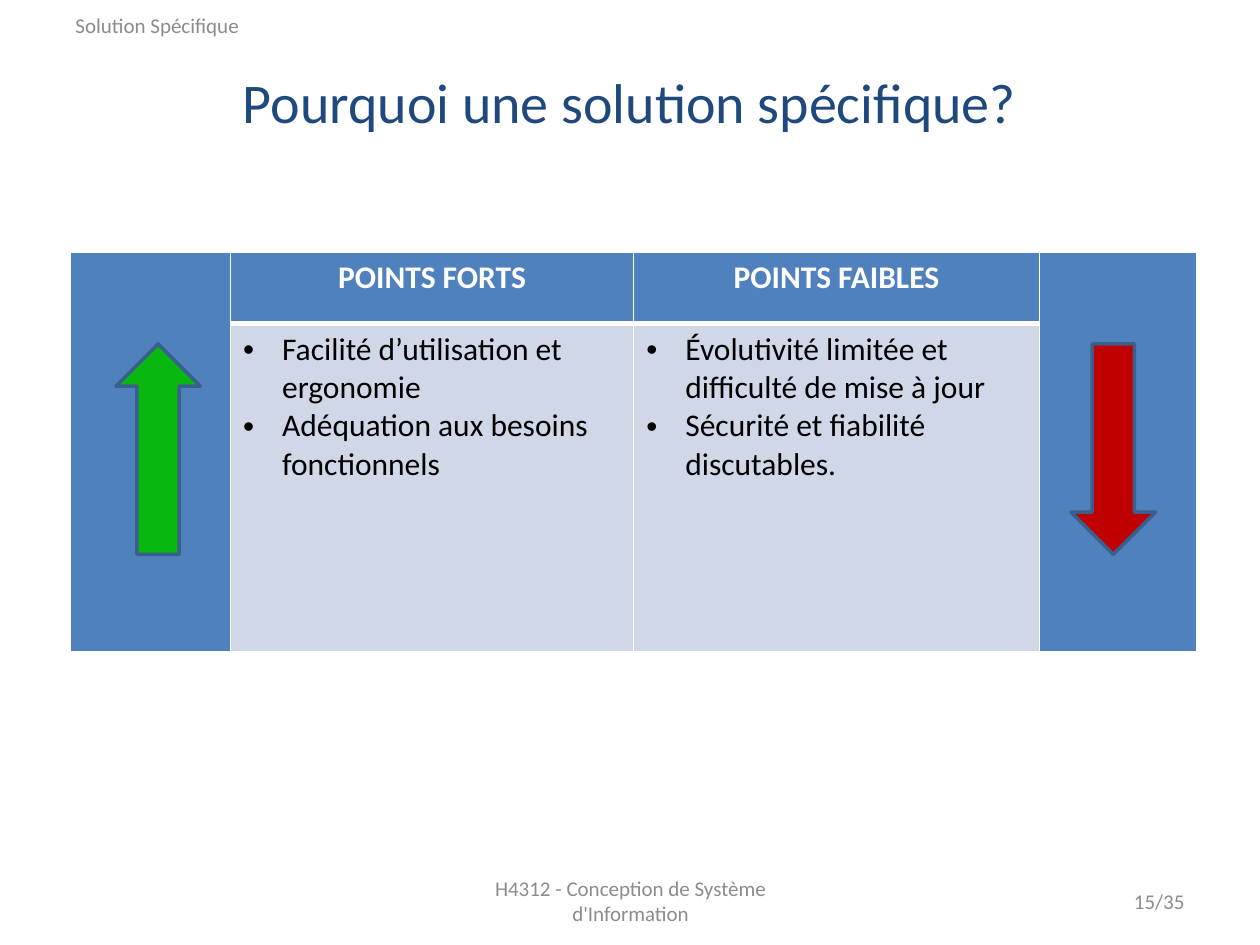
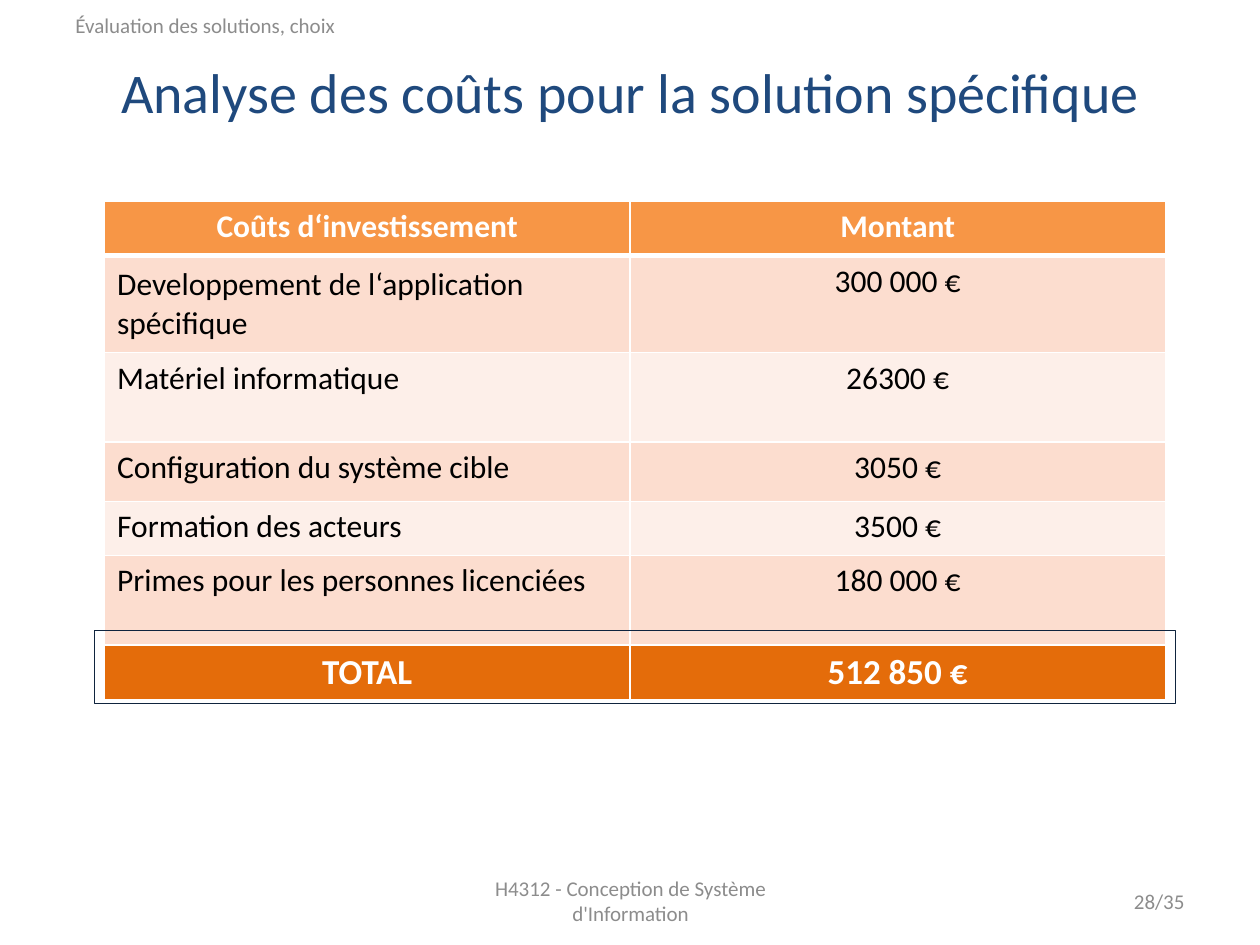
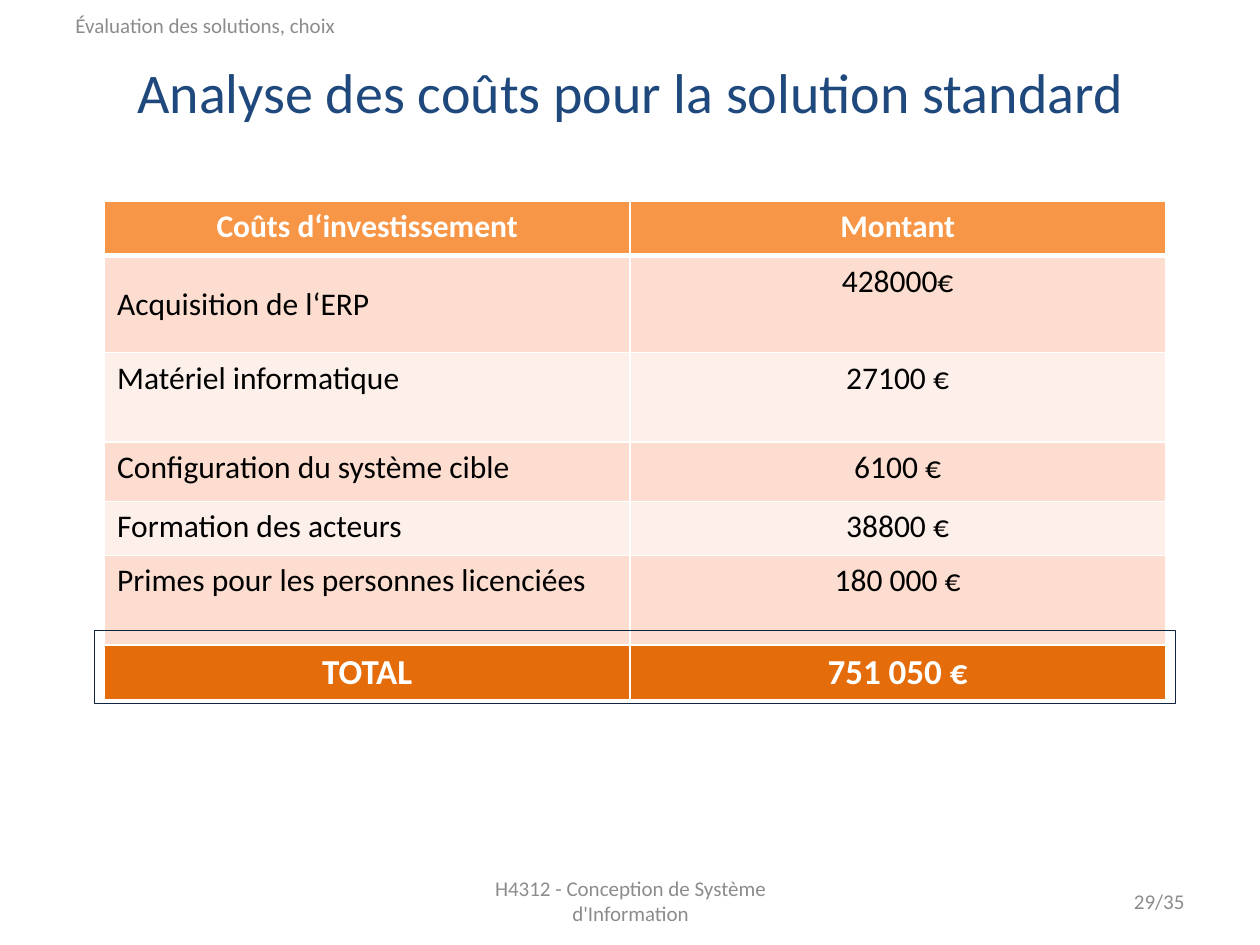
from dataclasses import dataclass

from lxml.etree import SubElement
from pptx import Presentation
from pptx.dml.color import RGBColor
from pptx.enum.shapes import MSO_SHAPE as Shape
from pptx.enum.text import MSO_ANCHOR as Anchor, PP_ALIGN as Align
from pptx.oxml.ns import qn
from pptx.util import Inches, Pt


@dataclass(frozen=True)
class Theme:
    font: str = "Calibri"
    title_size: int = 32
    total_size: int = 20
    body_size: int = 18
    small_size: int = 12
    title: str = "1F497D"
    muted: str = "8C8C8C"
    white: str = "FFFFFF"
    black: str = "000000"
    blue: str = "4F81BD"
    pale_blue: str = "D0D8E8"
    orange: str = "F79646"
    dark_orange: str = "E46C0A"
    bands: tuple = ("FCDDCF", "FDEFE9")
    green: str = "08B810"
    red: str = "C00000"
    arrow_line: str = "3A5F8C"
    frame_line: str = "0F243E"


FOOTER = "H4312 - Conception de Système d'Information"
SLIDE_TOTAL = 35
STRENGTHS = ["Facilité d’utilisation et ergonomie",
             "Adéquation aux besoins fonctionnels"]
WEAKNESSES = ["Évolutivité limitée et difficulté de mise à jour",
              "Sécurité et fiabilité discutables."]
COST_ITEMS = ["Matériel informatique", "Configuration du système cible",
              "Formation des acteurs", "Primes pour les personnes licenciées"]
COST_ROW_HEIGHTS = [0.43, 0.77, 0.71, 0.47, 0.43, 0.71, 0.43]


def rgb(color):
    return RGBColor.from_string(color)


class Deck:
    """Holds the presentation, its theme and the slide being built."""

    def __init__(self, theme):
        self.theme = theme
        self.presentation = Presentation()
        self.presentation.slide_width = Inches(10)
        self.presentation.slide_height = Inches(7.5)
        self.slide = None

    def new_slide(self, section, number):
        layout = self.presentation.slide_layouts[6]
        self.slide = self.presentation.slides.add_slide(layout)
        self.small_text(section, 0.5, 0, 3.75, Align.LEFT)
        self.small_text(FOOTER, 3.42, 6.95, 3.17, Align.CENTER)
        self.small_text(f"{number}/{SLIDE_TOTAL}", 7.17, 6.95, 2.33, Align.RIGHT)

    def style(self, paragraph, size, color, align=Align.LEFT, bold=False):
        paragraph.alignment = align
        font = paragraph.font
        font.name = self.theme.font
        font.size = Pt(size)
        font.bold = bold
        font.color.rgb = rgb(color)

    def text(self, text, box, size, color, align):
        frame = self.slide.shapes.add_textbox(*map(Inches, box)).text_frame
        frame.word_wrap = True
        frame.vertical_anchor = Anchor.MIDDLE
        frame.text = text
        self.style(frame.paragraphs[0], size, color, align)
        return frame

    def small_text(self, text, left, top, width, align):
        self.text(text, (left, top, width, 0.4),
                  self.theme.small_size, self.theme.muted, align)

    def title(self, text, left, width, height):
        frame = self.text(text, (left, 0.37, width, height),
                          self.theme.title_size, self.theme.title, Align.CENTER)
        frame.margin_left = frame.margin_right = frame.margin_bottom = 0
        frame.margin_top = Inches(0.04)
        frame.paragraphs[0].line_spacing = 0.93

    def shape(self, kind, box, line, line_width, fill=None, rotation=0):
        shape = self.slide.shapes.add_shape(kind, *map(Inches, box))
        shape.shadow.inherit = False
        shape.rotation = rotation
        shape.line.color.rgb = rgb(line)
        shape.line.width = Pt(line_width)
        if fill:
            shape.fill.solid()
            shape.fill.fore_color.rgb = rgb(fill)
        else:
            shape.fill.background()

    def table(self, left, top, widths, heights):
        table = self.slide.shapes.add_table(
            len(heights), len(widths), Inches(left), Inches(top),
            Inches(sum(widths)), Inches(sum(heights))).table
        table.horz_banding = False
        for column, width in zip(table.columns, widths):
            column.width = Inches(width)
        for row, height in zip(table.rows, heights):
            row.height = Inches(height)
        return table

    def cell(self, cell, fill, lines=(), color=None, size=None, align=Align.LEFT,
             bold=False, bullets=False, bottom=1):
        self.borders(cell, bottom)
        cell.fill.solid()
        cell.fill.fore_color.rgb = rgb(fill)
        cell.text = "\n".join(lines)
        for paragraph in cell.text_frame.paragraphs:
            if bullets:
                self.bullet(paragraph)
            self.style(paragraph, size or self.theme.body_size,
                       color or self.theme.black, align, bold)

    def header_cell(self, cell, fill, text):
        self.cell(cell, fill, [text], self.theme.white, align=Align.CENTER,
                  bold=True, bottom=3)

    def borders(self, cell, bottom):
        properties = cell._tc.get_or_add_tcPr()
        for side, width in (("L", 1), ("R", 1), ("T", 1), ("B", bottom)):
            line = SubElement(properties, qn(f"a:ln{side}"), w=str(Pt(width)))
            fill = SubElement(line, qn("a:solidFill"))
            SubElement(fill, qn("a:srgbClr"), val=self.theme.white)

    def bullet(self, paragraph):
        properties = paragraph._p.get_or_add_pPr()
        indent = Inches(0.31)
        properties.set("marL", str(indent))
        properties.set("indent", str(-indent))
        SubElement(properties, qn("a:buFont"), typeface="Arial")
        SubElement(properties, qn("a:buChar"), char="•")


def add_strengths_slide(deck):
    theme = deck.theme
    deck.new_slide("Solution Spécifique", 15)
    deck.title("Pourquoi une solution spécifique?", 0.73, 8.54, 0.88)
    table = deck.table(0.56, 2, [1.27, 3.2, 3.22, 1.25], [0.57, 2.6])
    for column in (0, 3):
        for row in (0, 1):
            deck.cell(table.cell(row, column), theme.blue)
        table.cell(0, column).merge(table.cell(1, column))
    columns = [("POINTS FORTS", STRENGTHS), ("POINTS FAIBLES", WEAKNESSES)]
    for column, (heading, points) in enumerate(columns, start=1):
        deck.header_cell(table.cell(0, column), theme.blue, heading)
        deck.cell(table.cell(1, column), theme.pale_blue, points, bullets=True)
    for left, fill, rotation in ((0.92, theme.green, 0), (8.5, theme.red, 180)):
        deck.shape(Shape.UP_ARROW, (left, 2.73, 0.67, 1.67),
                   theme.arrow_line, 2, fill, rotation)


def add_cost_slide(deck, number, solution, first_item, amounts, total):
    theme = deck.theme
    deck.new_slide("Évaluation des solutions, choix", number)
    deck.title(f"Analyse des coûts pour la solution {solution}", 0.38, 9.25, 0.72)
    table = deck.table(0.83, 1.6, [4.17, 4.25], COST_ROW_HEIGHTS)
    for column, heading in enumerate(["Coûts d‘investissement", "Montant"]):
        deck.header_cell(table.cell(0, column), theme.orange, heading)
    items = [first_item, *COST_ITEMS]
    for row, (item, amount) in enumerate(zip(items, amounts), start=1):
        band = theme.bands[(row - 1) % 2]
        deck.cell(table.cell(row, 0), band, [item])
        deck.cell(table.cell(row, 1), band, [amount], align=Align.CENTER)
    table.cell(1, 0).vertical_anchor = Anchor.MIDDLE
    for column, text in enumerate(["TOTAL", total]):
        deck.cell(table.cell(len(items) + 1, column), theme.dark_orange, [text],
                  theme.white, theme.total_size, Align.CENTER, bold=True)
    deck.shape(Shape.RECTANGLE, (0.75, 5, 8.58, 0.58), theme.frame_line, 0.5)


def main():
    deck = Deck(Theme())
    add_strengths_slide(deck)
    add_cost_slide(deck, 28, "spécifique",
                   "Developpement de l‘application spécifique",
                   ["300 000 €", "26300 €", "3050 €", "3500 €", "180 000 €"],
                   "512 850 €")
    add_cost_slide(deck, 29, "standard", "Acquisition de l‘ERP",
                   ["428000€", "27100 €", "6100 €", "38800 €", "180 000 €"],
                   "751 050 €")
    deck.presentation.save("out.pptx")


if __name__ == "__main__":
    main()
